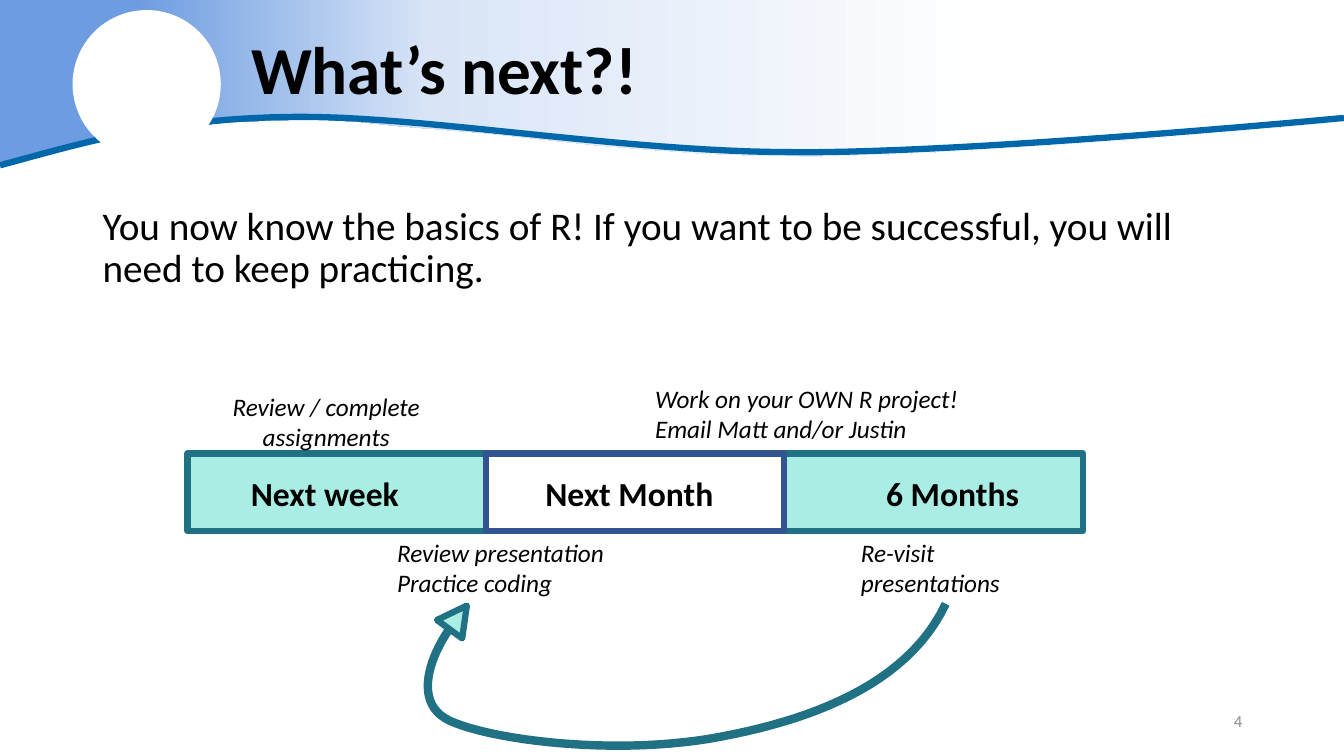
from copy import deepcopy

from pptx import Presentation
from pptx.dml.color import RGBColor
from pptx.enum import shapes, text
from pptx.oxml import ns
from pptx.util import Inches, Pt

BLACK = RGBColor(0x00, 0x00, 0x00)
WHITE = RGBColor(0xFF, 0xFF, 0xFF)
GREY = RGBColor(0x8C, 0x8C, 0x8C)
WAVE_BLUE = RGBColor(0x00, 0x68, 0xAA)
SKY = RGBColor(0x6D, 0x9C, 0xE1)
PALE_SKY = RGBColor(0xD9, 0xE5, 0xF7)
MINT = RGBColor(0xA9, 0xED, 0xE5)
TEAL = RGBColor(0x20, 0x71, 0x84)
NAVY = RGBColor(0x32, 0x54, 0x91)
FONT = "Calibri"


def format_text(shape, size, color=BLACK, bold=False, italic=False,
                align=text.PP_ALIGN.LEFT, spacing=None):
    for paragraph in shape.text_frame.paragraphs:
        paragraph.alignment = align
        paragraph.line_spacing = spacing
        for run in paragraph.runs:
            font = run.font
            font.name, font.size, font.color.rgb = FONT, Pt(size), color
            font.bold, font.italic = bold, italic


def add_text(slide, box, words, size, **style):
    shape = slide.shapes.add_textbox(*map(Inches, box))
    shape.text_frame.word_wrap = True
    shape.text_frame.text = words
    format_text(shape, size, **style)
    return shape


def style_shape(shape, fill=None, line=None, width=4.5):
    shape.shadow.inherit = False
    if fill is None:
        shape.fill.background()
    else:
        shape.fill.solid()
        shape.fill.fore_color.rgb = fill
    if line is None:
        shape.line.fill.background()
    else:
        shape.line.color.rgb = line
        shape.line.width = Pt(width)


def add_preset(slide, kind, box, fill, line=None):
    shape = slide.shapes.add_shape(kind, *map(Inches, box))
    style_shape(shape, fill, line)
    return shape


def add_outline(slide, left, top, points, close=False):
    points = [(Inches(left + x), Inches(top + y)) for x, y in points]
    builder = slide.shapes.build_freeform(*points[0])
    builder.add_line_segments(points[1:], close=close)
    return builder.convert_to_shape()


def curve_points(start, *segments, steps=24):
    """Points along joined cubic curves; a segment is two controls and an end."""
    points = [start]
    for first, second, end in segments:
        corners = (points[-1], first, second, end)
        for step in range(1, steps + 1):
            t = step / steps
            weights = ((1 - t) ** 3, 3 * t * (1 - t) ** 2, 3 * t * t * (1 - t), t ** 3)
            points.append(tuple(sum(w * corner[axis] for w, corner in zip(weights, corners))
                                for axis in (0, 1)))
    return points


def add_header(slide, left, top, width):
    # Gradient band with a wavy lower edge
    edge = [(width, 1.2), (12.38, 1.29), (11.43, 1.37), (10.55, 1.43), (9.46, 1.5),
            (8.76, 1.53), (8.08, 1.55), (7.42, 1.54), (6.92, 1.52), (6.4, 1.48),
            (5.91, 1.44), (4.81, 1.32), (3.95, 1.25), (3.58, 1.21), (3.26, 1.19),
            (2.88, 1.19), (2.28, 1.21), (1.59, 1.29), (1.13, 1.36), (0.64, 1.46),
            (0.19, 1.58), (0, 1.65)]
    band = add_outline(slide, left, top, [(0, 0), (width, 0)] + edge, close=True)
    style_shape(band)
    band.fill.gradient()
    band.fill.gradient_angle = 0
    stop_list = next(band.element.iter(ns.qn("a:gsLst")))
    stop_list.append(deepcopy(stop_list[-1]))
    colors = ((0.10, SKY), (0.32, PALE_SKY), (0.74, WHITE))
    for stop, (position, color) in zip(band.fill.gradient_stops, colors):
        stop.position = position
        stop.color.rgb = color

    # Wave line and white disc
    wave = add_outline(slide, left, top, curve_points(
        (0, 1.64), ((0.75, 1.44), (1.55, 1.18), (2.87, 1.16)),
        ((4.19, 1.14), (6.15, 1.51), (7.9, 1.51)),
        ((9.64, 1.52), (width, 1.17), (width, 1.17))))
    style_shape(wave, line=WAVE_BLUE)
    add_preset(slide, shapes.MSO_SHAPE.OVAL, (left + 0.72, top + 0.1, 1.47, 1.47), WHITE)

    # Title, brought in front of the band
    title = slide.shapes.title
    title.left, title.top = Inches(left + 2.39), Inches(top)
    title.width, title.height = Inches(10.95), Inches(1.45)
    title.text_frame.text = "What’s next?!"
    title.text_frame.vertical_anchor = text.MSO_ANCHOR.MIDDLE
    format_text(title, 48, bold=True, spacing=0.9)
    title.element.getparent().append(title.element)


def add_timeline(slide, left, top, width, height):
    # Bar with its middle third picked out
    third = width / 3
    rectangle = shapes.MSO_SHAPE.RECTANGLE
    add_preset(slide, rectangle, (left, top, width, height), MINT, TEAL)
    add_preset(slide, rectangle, (left + third, top, third, height), WHITE, NAVY)
    for offset, label in ((0.53, "Next week"), (3.45, "Next Month"), (6.83, "6 Months")):
        add_text(slide, (left + offset, top + 0.14, 2, 0.5), label, 24, bold=True)

    # Tasks above and below the bar
    tasks = (
        (0.28, -0.67, 2.19, "Review / complete assignments", text.PP_ALIGN.CENTER),
        (6.58, 0.78, 2.36, "Re-visit presentations", text.PP_ALIGN.LEFT),
        (1.98, 0.78, 2.36, "Review presentation\vPractice coding", text.PP_ALIGN.LEFT),
        (4.54, -0.75, 3.28, "Work on your OWN R project!\nEmail Matt and/or Justin",
         text.PP_ALIGN.LEFT),
    )
    for x, y, task_width, words, align in tasks:
        add_text(slide, (left + x, top + y, task_width, 0.71), words, 18,
                 italic=True, align=align)


def add_return_arrow(slide, left, top):
    tail = add_outline(slide, left, top, curve_points(
        (5.14, 0.01), ((4.76, 0.82), (3.78, 1.18), (2.79, 1.35)),
        ((1.8, 1.51), (0.64, 1.36), (0.22, 1.17)),
        ((-0.2, 0.97), (0.09, 0.41), (0.27, 0.19))))
    style_shape(tail, line=TEAL, width=6)
    head = add_preset(slide, shapes.MSO_SHAPE.ISOSCELES_TRIANGLE,
                      (left + 0.15, top, 0.31, 0.29), MINT, TEAL)
    head.rotation = 36.2


def build_slide(presentation):
    slide = presentation.slides.add_slide(presentation.slide_layouts[5])
    add_header(slide, 0, 0, 13.33)
    body = add_text(slide, (0.92, 2, 11.5, 1.2),
                    "You now know the basics of R! If you want to be successful, "
                    "you will need to keep practicing.", 28, spacing=0.9)
    body.text_frame.paragraphs[0].space_before = Pt(10)
    number = add_text(slide, (9.42, 6.95, 3, 0.4), "4", 12, color=GREY,
                      align=text.PP_ALIGN.RIGHT)
    number.text_frame.vertical_anchor = text.MSO_ANCHOR.MIDDLE
    add_timeline(slide, 1.86, 4.5, 8.88, 0.77)
    add_return_arrow(slide, 4.24, 5.98)


presentation = Presentation()
presentation.slide_width, presentation.slide_height = Inches(13.33), Inches(7.5)
build_slide(presentation)
presentation.save("out.pptx")
